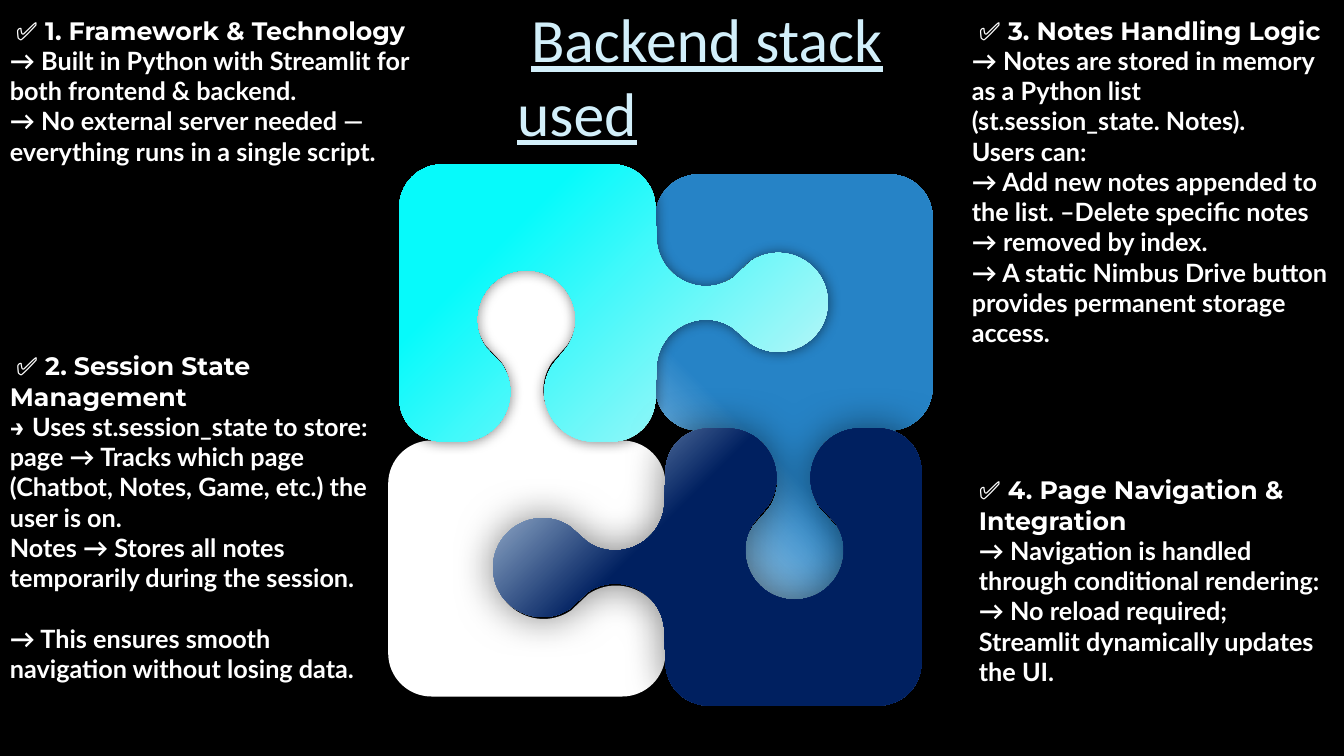
from math import cos, radians, sin, tan

from lxml.etree import Element, SubElement
from pptx import Presentation
from pptx.dml.color import RGBColor
from pptx.enum.text import MSO_AUTO_SIZE
from pptx.oxml.ns import qn
from pptx.util import Inches, Pt

PUZZLE_ARCS = [
    (1.37, 0.49, 0.49, 146, 270),
    (1.37, 0.49, 0.49, 270, 394),
    (2.03, 1.21, 0.49, 214, 90),
    (2.32, 2.14, 0.43, -90, 0),
    (2.26, 2.32, 0.49, 0, 124),
    (1.54, 2.99, 0.49, -56, -180),
    (1.54, 2.99, 0.49, -180, -304),
    (2.26, 3.64, 0.49, 236, 360),
    (2.32, 3.82, 0.43, 0, 90),
    (0.43, 3.82, 0.43, 90, 180),
    (0.43, 2.14, 0.43, 180, 270),
    (0.72, 1.21, 0.49, 90, -34),
]
PIECES = [
    (6.5, 1.73, 180, [(0, "D1E7F6"), (0.38, "2683C6")], None),
    (3.85, 2.66, 0, "FFFFFF", None),
    (4.71, 0.88, 90, [(0, "D4F5F7"), (0.75, "06FAFB")], 10),
    (5.64, 3.5, 270, [(0, "D1E7F6"), (0.38, "002060")], 30),
]
TITLE = {"size": Pt(44)}
BODY = {"size": Pt(18), "bold": True}
NOTES = [
    ((0, 0.1, 4.34, 1.92), [[
        (" ✅", "Lato"),
        (" 1. Framework & Technology\n", "Montserrat"),
        ("→ Built in Python with Streamlit for both frontend & backend.\n"
         "→ No external server needed — everything runs in a single script.", "Lato"),
    ]]),
    ((9.54, 0.1, 3.76, 4.04), [[
        (" ✅ 3. Notes Handling Logic\n", "Montserrat"),
        ("→ Notes are stored in memory as a Python list (st.session_state. Notes).\n"
         "Users can:\n"
         "→ Add new notes appended to the list. –Delete specific notes → removed by index.\n"
         "→ A static Nimbus Drive button provides permanent storage access.", "Lato"),
    ]]),
    ((9.61, 4.66, 3.69, 1.92), [[
        ("✅", "Roboto"),
        (" 4. Page Navigation & Integration\n", "Montserrat"),
        ("→ Navigation is handled through conditional rendering:\n"
         "→ No reload required; Streamlit dynamically updates the UI.", "Lato"),
    ]]),
    ((0, 3.43, 3.85, 3.43), [
        [
            (" ", "Lato"),
            ("✅ 2. Session State Management\n→ ", "Montserrat"),
            ("Uses st.session_state to store:\n"
             "page → Tracks which page (Chatbot, Notes, Game, etc.) the user is on.\n"
             "Notes → Stores all notes temporarily during the session.", "Lato"),
        ],
        [("→ This ensures smooth navigation without losing data.", "Lato")],
    ]),
]


def rgb(value):
    return RGBColor.from_string(value)


def arc_points(cx, cy, radius, start, end):
    a, b = radians(start), radians(end)
    k = 4 / 3 * tan((b - a) / 4)
    units = [
        (cos(a), sin(a)),
        (cos(a) - k * sin(a), sin(a) + k * cos(a)),
        (cos(b) + k * sin(b), sin(b) - k * cos(b)),
        (cos(b), sin(b)),
    ]
    return [(Inches(cx + radius * x), Inches(cy + radius * y)) for x, y in units]


def curve_arcs(sp):
    lines = list(sp._element.iter(qn("a:lnTo")))
    for i in range(0, len(lines), 4):
        curve = Element(qn("a:cubicBezTo"))
        lines[i].addnext(curve)
        for line in lines[i + 1:i + 4]:
            curve.append(line[0])
            line.getparent().remove(line)


def add_shadow(sp, blur):
    effects = sp._element.spPr.find(qn("a:effectLst"))
    shadow = SubElement(effects, qn("a:outerShdw"), blurRad=str(Pt(blur)),
                        dist="0", dir="0", algn="ctr", rotWithShape="0")
    color = SubElement(shadow, qn("a:srgbClr"), val="000000")
    SubElement(color, qn("a:alpha"), val="52000")


def add_piece(s, left, top, rotation, fill, blur):
    points = [point for arc in PUZZLE_ARCS for point in arc_points(*arc)]
    builder = s.shapes.build_freeform(*points[0])
    builder.add_line_segments(points, close=True)
    sp = builder.convert_to_shape(Inches(left), Inches(top))
    curve_arcs(sp)
    sp.rotation = rotation
    sp.shadow.inherit = False
    sp.line.fill.background()
    if isinstance(fill, str):
        sp.fill.solid()
        sp.fill.fore_color.rgb = rgb(fill)
    else:
        sp.fill.gradient()
        sp.fill.gradient_angle = 225
        for stop, (position, color) in zip(sp.fill.gradient_stops, fill):
            stop.position = position
            stop.color.rgb = rgb(color)
    if blur:
        add_shadow(sp, blur)


def add_run(p, text, color, formats):
    r = p.add_run()
    r.text = text
    r.font.color.rgb = rgb(color)
    for name, value in formats.items():
        setattr(r.font, name, value)


def add_text(s, box, paragraphs, color, formats):
    tf = s.shapes.add_textbox(*map(Inches, box)).text_frame
    tf.word_wrap = True
    tf.auto_size = MSO_AUTO_SIZE.SHAPE_TO_FIT_TEXT
    for i, parts in enumerate(paragraphs):
        p = tf.add_paragraph() if i else tf.paragraphs[0]
        if i:
            p.space_before = Pt(22)
        for text, font, *extra in parts:
            for j, line in enumerate(text.split("\n")):
                if j:
                    p.add_line_break()
                if line:
                    add_run(p, line, color, {**formats, "name": font, "underline": bool(extra)})


def main():
    prs = Presentation()
    prs.slide_width, prs.slide_height = Inches(13.33), Inches(7.5)
    s = prs.slides.add_slide(prs.slide_layouts[6])
    s.background.fill.solid()
    s.background.fill.fore_color.rgb = rgb("000000")
    for piece in PIECES:
        add_piece(s, *piece)
    title = [(" ", "Calibri"), ("Backend stack used", "Calibri", "underlined")]
    add_text(s, (5.03, -0.04, 4.25, 1.58), [title], "D2EFFA", TITLE)
    for box, paragraphs in NOTES:
        add_text(s, box, paragraphs, "FFFFFF", BODY)
    prs.save("out.pptx")


if __name__ == "__main__":
    main()
